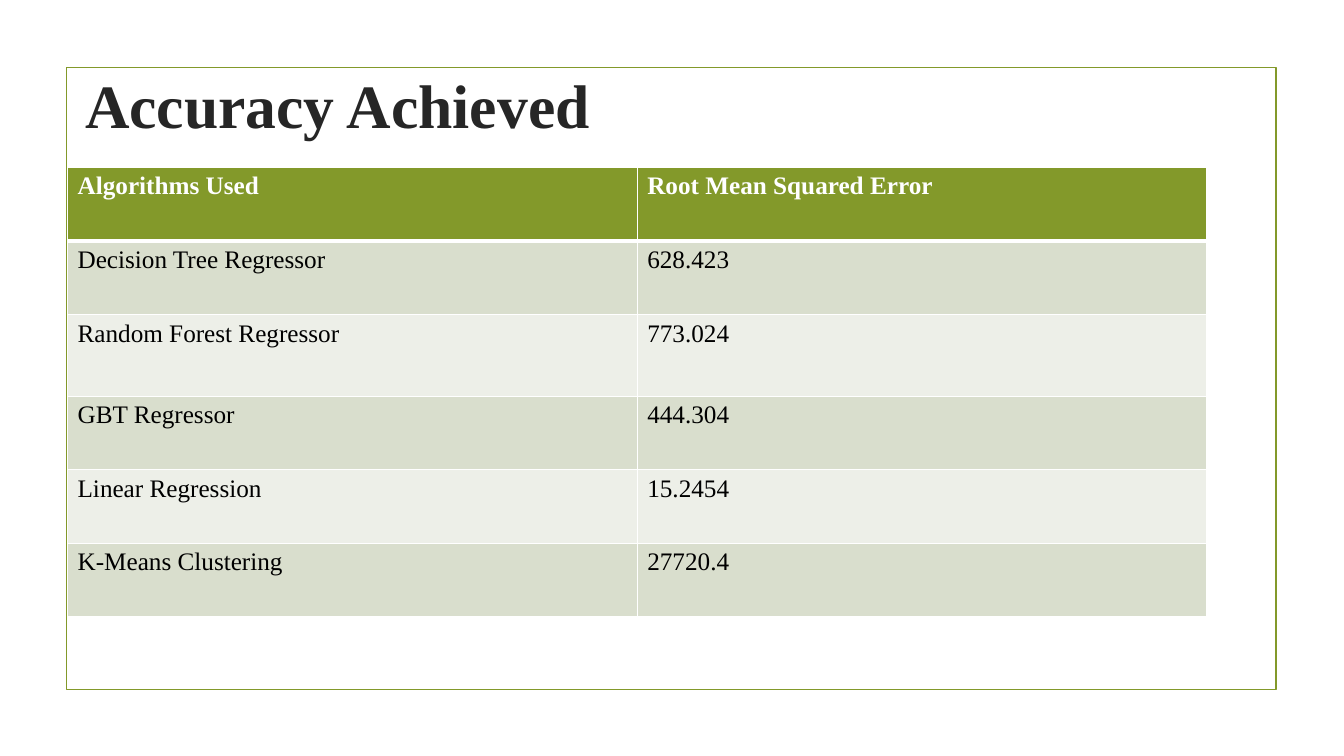
from pptx import Presentation
from pptx.dml.color import RGBColor
from pptx.enum.shapes import MSO_SHAPE
from pptx.enum.text import MSO_ANCHOR, PP_ALIGN
from pptx.oxml.ns import qn
from pptx.util import Inches, Pt
from lxml import etree

RECTANGLE = MSO_SHAPE.RECTANGLE
MIDDLE = MSO_ANCHOR.MIDDLE
LEFT, CENTER = PP_ALIGN.LEFT, PP_ALIGN.CENTER

# Content
TITLE = "Accuracy Achieved"
RESULTS = [
    ("Algorithms Used", "Root Mean Squared Error"),
    ("Decision Tree Regressor", "628.423"),
    ("Random Forest Regressor", "773.024"),
    ("GBT Regressor", "444.304"),
    ("Linear Regression", "15.2454"),
    ("K-Means Clustering", "27720.4"),
]

# Theme
THEME = {
    "font": "Times New Roman",
    "title_size": 44, "cell_size": 18,
    "title": "262626", "body": "000000", "white": "FFFFFF",
    "accent": "83992A", "bands": ("EDEFE8", "D9DECD"),
    "frame_line": 1.25, "grid_line": 1, "header_line": 3,
}

# Layout, in inches
FRAME = (0.66, 0.67, 12, 6.17)
TITLE_BOX = (0.67, 0.32, 5.36, 1.43)
TABLE_LEFT, TABLE_TOP, COLUMN_WIDTH = 0.67, 1.66, 5.65
ROW_HEIGHT, TALL_ROW, TALL_HEIGHT = 0.73, 2, 0.81


def color(name):
    return RGBColor.from_string(name)


def write_text(frame, text, size, fill, bold=False, align=LEFT):
    para = frame.paragraphs[0]
    para.alignment = align
    span = para.add_run()
    span.text = text
    span.font.name = THEME["font"]
    span.font.size = Pt(size)
    span.font.bold = bold
    span.font.color.rgb = color(fill)


def set_borders(cell, widths):
    properties = cell._tc.get_or_add_tcPr()
    for position, (side, width) in enumerate(widths.items()):
        line = etree.Element(qn(f"a:ln{side}"), w=str(Pt(width)))
        fill = etree.SubElement(line, qn("a:solidFill"))
        etree.SubElement(fill, qn("a:srgbClr"), val=THEME["white"])
        properties.insert(position, line)


deck = Presentation()
deck.slide_width, deck.slide_height = Inches(13.33), Inches(7.5)
page = deck.slides.add_slide(deck.slide_layouts[6])

# Frame
border = page.shapes.add_shape(RECTANGLE, *map(Inches, FRAME))
border.shadow.inherit = False
border.fill.background()
border.line.color.rgb = color(THEME["accent"])
border.line.width = Pt(THEME["frame_line"])

# Title
title_box = page.shapes.add_textbox(*map(Inches, TITLE_BOX))
title_box.text_frame.word_wrap = True
title_box.text_frame.vertical_anchor = MIDDLE
write_text(title_box.text_frame, TITLE, THEME["title_size"], THEME["title"],
           bold=True, align=CENTER)

# Results table
heights = [TALL_HEIGHT if index == TALL_ROW else ROW_HEIGHT
           for index in range(len(RESULTS))]
column_count = len(RESULTS[0])
table = page.shapes.add_table(
    len(RESULTS), column_count, Inches(TABLE_LEFT), Inches(TABLE_TOP),
    Inches(COLUMN_WIDTH * column_count), Inches(sum(heights))).table
for column in table.columns:
    column.width = Inches(COLUMN_WIDTH)

for row_index, values in enumerate(RESULTS):
    table.rows[row_index].height = Inches(heights[row_index])
    header = row_index == 0
    background = THEME["accent"] if header else THEME["bands"][row_index % 2]
    thin, thick = THEME["grid_line"], THEME["header_line"]
    widths = {"L": thin, "R": thin,
              "T": thick if row_index == 1 else thin,
              "B": thick if header else thin}
    for column_index, value in enumerate(values):
        cell = table.cell(row_index, column_index)
        cell.fill.solid()
        cell.fill.fore_color.rgb = color(background)
        set_borders(cell, widths)
        write_text(cell.text_frame, value, THEME["cell_size"],
                   THEME["white"] if header else THEME["body"], bold=header)

deck.save("out.pptx")
